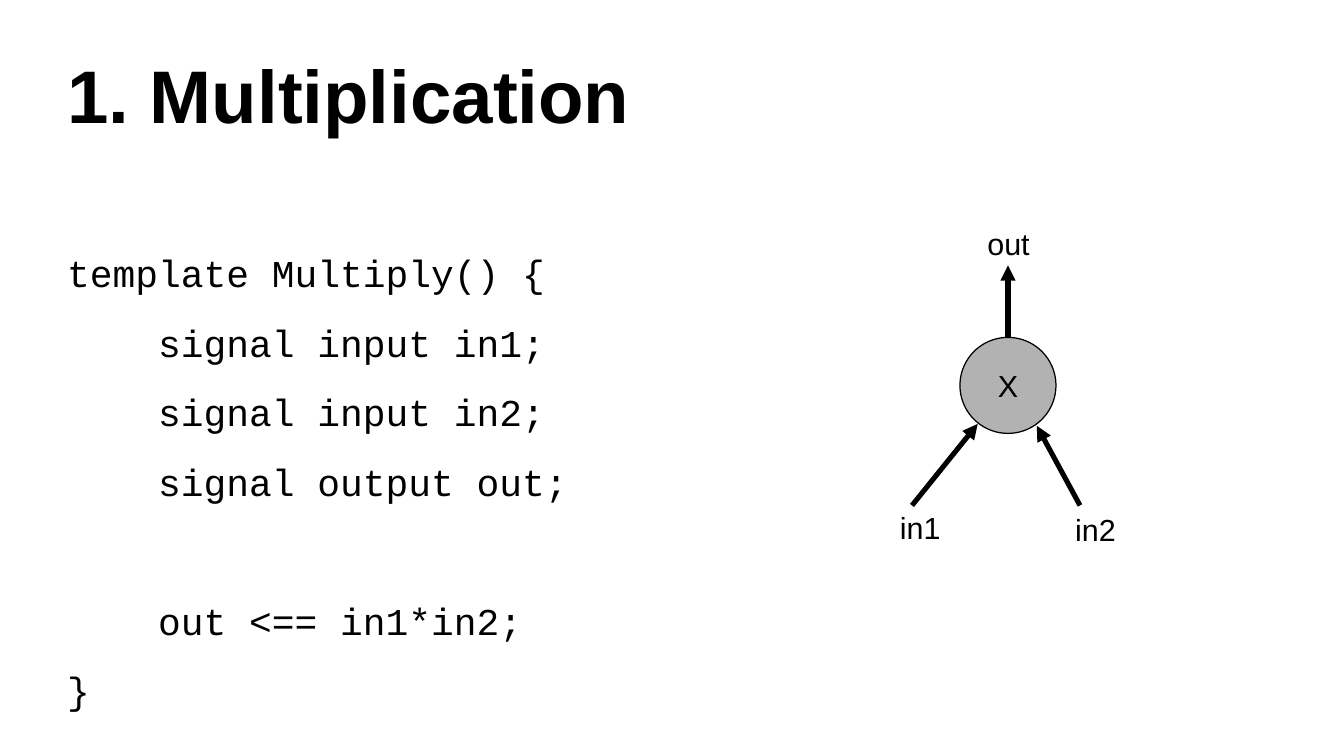
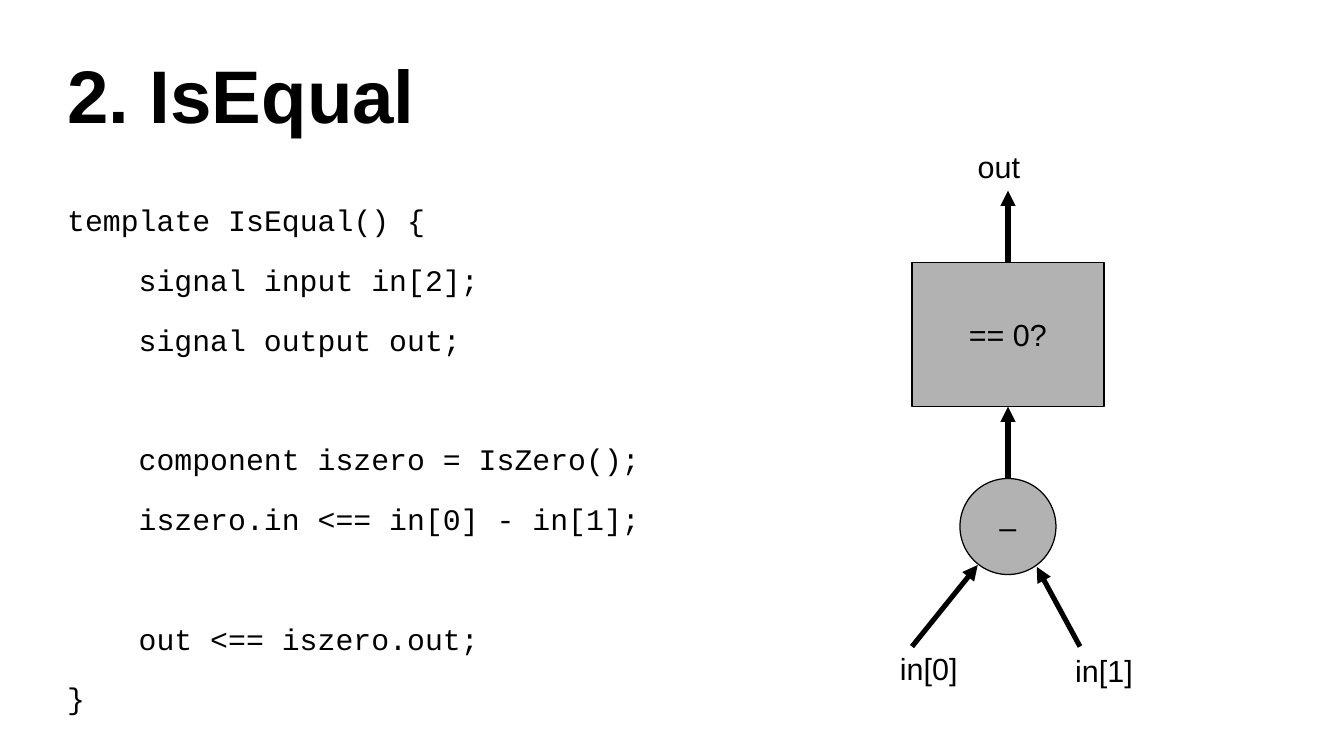
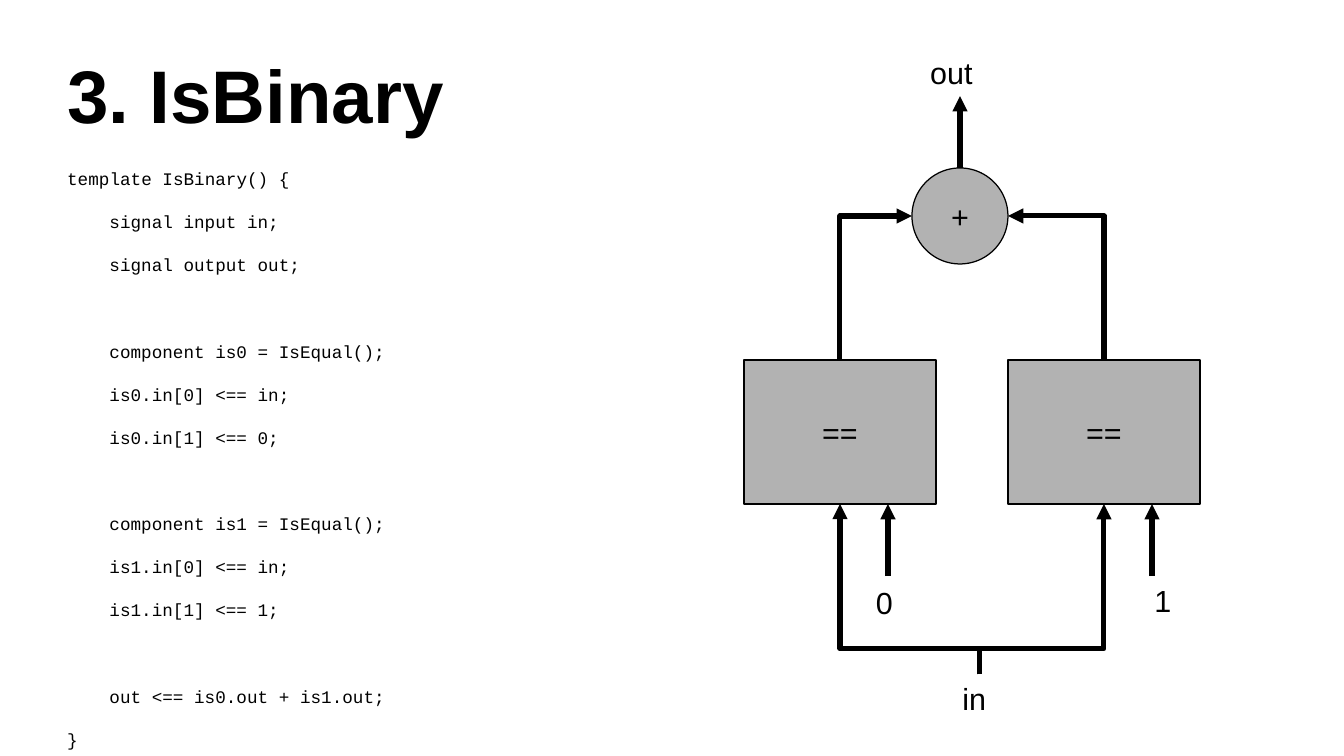
import dataclasses

import lxml.etree
import pptx
import pptx.dml.color
import pptx.enum.shapes
import pptx.enum.text
import pptx.oxml.ns
import pptx.util

Cm = pptx.util.Cm
Pt = pptx.util.Pt
RGB = pptx.dml.color.RGBColor
SHAPE = pptx.enum.shapes.MSO_SHAPE
CONNECTOR = pptx.enum.shapes.MSO_CONNECTOR
ALIGN = pptx.enum.text.PP_ALIGN
ANCHOR = pptx.enum.text.MSO_ANCHOR
qn = pptx.oxml.ns.qn


@dataclasses.dataclass(frozen=True)
class Theme:
    ink: RGB = RGB(0, 0, 0)
    node: RGB = RGB(0xB2, 0xB2, 0xB2)
    font: str = "Arial"
    code_font: str = "Courier New"
    title_size: float = 44
    label_size: float = 18
    arrow_width: float = 3
    line_height: float = 1.2


THEME = Theme()

# Diagram grid, in centimetres
CIRCLE = 2
BOX_WIDTH, BOX_HEIGHT = 4, 3
ARROW = 1.5
LABEL_HEIGHT = 0.97

# Content: code is a header, groups of indented lines, and a closing brace
MULTIPLY = {
    "title": "1. Multiplication",
    "at": (1.4, 5.2, 11.6), "size": 22.4, "gap": 14.2,
    "header": "template Multiply() {",
    "groups": [
        ["signal input in1;", "signal input in2;", "signal output out;"],
        ["out <== in1*in2;"],
    ],
}
IS_EQUAL = {
    "title": "2. IsEqual",
    "at": (1.4, 4.2, 15.1), "size": 17.6, "gap": 14.2,
    "header": "template IsEqual() {",
    "groups": [
        ["signal input in[2];", "signal output out;"],
        ["component iszero = IsZero();", "iszero.in <== in[0] - in[1];"],
        ["out <== iszero.out;"],
    ],
}
IS_BINARY = {
    "title": "3. IsBinary",
    "at": (1.4, 3.5, 11.1), "size": 10.4, "gap": 13,
    "header": "template IsBinary() {",
    "groups": [
        ["signal input in;", "signal output out;"],
        ["component is0 = IsEqual();", "is0.in[0] <== in;", "is0.in[1] <== 0;"],
        ["component is1 = IsEqual();", "is1.in[0] <== in;", "is1.in[1] <== 1;"],
        ["out <== is0.out + is1.out;"],
    ],
}

# Sides of a shape: connection order, then position as a share of its size
SIDES = {"top": (0, 0.5, 0), "left": (1, 0, 0.5),
         "bottom": (2, 0.5, 1), "right": (3, 1, 0.5)}


# Text
def format_runs(paragraph, font, size, bold=False):
    for run in paragraph.runs:
        run.font.name = font
        run.font.size = Pt(size)
        run.font.bold = bold
        run.font.color.rgb = THEME.ink


def clear_margins(text_frame):
    text_frame.margin_left = text_frame.margin_right = 0
    text_frame.margin_top = text_frame.margin_bottom = 0


def add_title(slide, text):
    title = slide.shapes.title
    title.left, title.top = Cm(1.4), Cm(0.63)
    title.width, title.height = Cm(25.2), Cm(2.63)
    frame = title.text_frame
    frame.text = text
    frame.vertical_anchor = ANCHOR.MIDDLE
    clear_margins(frame)
    frame.paragraphs[0].alignment = ALIGN.LEFT
    format_runs(frame.paragraphs[0], THEME.font, THEME.title_size, bold=True)


def add_code(slide, content):
    size, gap = content["size"], content["gap"]
    pitch = size * THEME.line_height
    skip = gap + pitch + gap
    lines = [(content["header"], False, 0)]
    for number, group in enumerate(content["groups"]):
        for position, text in enumerate(group):
            new_group = number > 0 and position == 0
            lines.append((text, True, skip if new_group else gap))
    lines.append(("}", False, gap))

    left, top, width = content["at"]
    height = Pt(sum(pitch + before for _, _, before in lines))
    frame = slide.shapes.add_textbox(Cm(left), Cm(top), Cm(width), height).text_frame
    frame.word_wrap = True
    clear_margins(frame)
    frame.text = "\n".join(text for text, _, _ in lines)
    for paragraph, (_, indented, before) in zip(frame.paragraphs, lines):
        paragraph.line_spacing = Pt(pitch)
        paragraph.space_before = Pt(before)
        if indented:  # four characters, each 0.6 of the type size
            paragraph._p.get_or_add_pPr().set("marL", str(Pt(4 * 0.6 * size)))
        format_runs(paragraph, THEME.code_font, size)


def add_label(slide, text, left, top, width):
    label = slide.shapes.add_textbox(Cm(left), Cm(top), Cm(width), Cm(LABEL_HEIGHT))
    label.text_frame.word_wrap = False
    label.text_frame.text = text
    format_runs(label.text_frame.paragraphs[0], THEME.font, THEME.label_size)
    return label


# Nodes
def add_node(slide, kind, text, left, top, width, height):
    node = slide.shapes.add_shape(kind, Cm(left), Cm(top), Cm(width), Cm(height))
    node.shadow.inherit = False
    node.fill.solid()
    node.fill.fore_color.rgb = THEME.node
    node.line.color.rgb = THEME.ink
    node.line.width = Pt(0)
    node.text_frame.text = text
    node.text_frame.vertical_anchor = ANCHOR.MIDDLE
    paragraph = node.text_frame.paragraphs[0]
    paragraph.alignment = ALIGN.CENTER
    format_runs(paragraph, THEME.font, THEME.label_size)
    return node


def add_circle(slide, text, left, top):
    return add_node(slide, SHAPE.OVAL, text, left, top, CIRCLE, CIRCLE)


def add_box(slide, text, left, top):
    return add_node(slide, SHAPE.RECTANGLE, text, left, top, BOX_WIDTH, BOX_HEIGHT)


# Arrows
def style_arrow(connector):
    connector.line.color.rgb = THEME.ink
    connector.line.width = Pt(THEME.arrow_width)
    properties = connector._element.spPr
    line = properties.find(qn("a:ln"))
    lxml.etree.SubElement(line, qn("a:tailEnd"), type="triangle")
    lxml.etree.SubElement(properties, qn("a:effectLst"))


def add_arrow(slide, start, end):
    points = [Cm(value) for value in (*start, *end)]
    style_arrow(slide.shapes.add_connector(CONNECTOR.STRAIGHT, *points))


def add_up_arrow(slide, x, bottom):
    add_arrow(slide, (x, bottom), (x, bottom - ARROW))


def side_point(shape, side):
    _, across, down = SIDES[side]
    return (round(shape.left + across * shape.width),
            round(shape.top + down * shape.height))


def glue(connector, tag, shape, side):
    is_circle = (shape.shape_type == pptx.enum.shapes.MSO_SHAPE_TYPE.AUTO_SHAPE
                 and shape.auto_shape_type == SHAPE.OVAL)
    index = SIDES[side][0] * (2 if is_circle else 1)
    holder = connector._element.find(".//" + qn("p:cNvCxnSpPr"))
    lxml.etree.SubElement(holder, qn(tag), id=str(shape.shape_id), idx=str(index))


def add_elbow(slide, start, end, end_side, bend=None):
    """Leave the top of start upwards; bend is the share of the rise to the turn."""
    x1, y1 = side_point(start, "top")
    x2, y2 = side_point(end, end_side)
    run, rise = abs(x2 - x1), y1 - y2
    left = (x1 + x2 - rise) // 2
    top = (y1 + y2 - run) // 2
    connector = slide.shapes.add_connector(
        CONNECTOR.ELBOW, left, top, left + rise, top + run)
    glue(connector, "a:stCxn", start, "top")
    glue(connector, "a:endCxn", end, end_side)
    properties = connector._element.spPr
    transform = properties.find(qn("a:xfrm"))
    transform.set("rot", str(270 * 60000))
    if x2 < x1:
        transform.set("flipV", "1")
    geometry = properties.find(qn("a:prstGeom"))
    if bend is None:
        geometry.set("prst", "bentConnector2")
    else:
        adjustments = geometry.find(qn("a:avLst"))
        lxml.etree.SubElement(adjustments, qn("a:gd"), name="adj1",
                              fmla=f"val {round(bend * 100000)}")
    style_arrow(connector)


# Diagrams
def add_operator(slide, symbol, inputs, left, top, label_width):
    """Circle with two labelled inputs below and an arrow out of its top."""
    add_circle(slide, symbol, left, top)
    first, second = inputs
    add_label(slide, first, left - 1.5, top + 3.45, label_width)
    add_label(slide, second, left + 2.15, top + 3.5, label_width)
    add_arrow(slide, (left - 1, top + 3.5), (left + 0.37, top + 1.8))
    add_arrow(slide, (left + 2.5, top + 3.5), (left + 1.6, top + 1.84))
    add_up_arrow(slide, left + CIRCLE / 2, top)


def draw_multiply(slide):
    add_operator(slide, "X", ("in1", "in2"), 20, 7.03, 1.35)
    add_label(slide, "out", 20.32, 4.57, 1.4)


def draw_is_equal(slide):
    circle_top = 9.97
    box_top = circle_top - ARROW - BOX_HEIGHT
    add_operator(slide, "–", ("in[0]", "in[1]"), 20, circle_top, 1.7)
    add_box(slide, "== 0?", 19, box_top)
    add_up_arrow(slide, 21, box_top)
    add_label(slide, "out", 20.12, 2.97, 1.4)


def draw_is_binary(slide):
    box_top = 7.5
    box_bottom = box_top + BOX_HEIGHT
    circle = add_circle(slide, "+", 19, 3.5)
    add_up_arrow(slide, 20, 3.5)
    add_label(slide, "out", 19.13, 1, 1.4)
    source = add_label(slide, "in", 19.8, 14.05, 1.2)
    branches = [(15.5, "left", "0", 18, 12.05), (21, "right", "1", 23.8, 12)]
    for left, side, constant, label_left, label_top in branches:
        box = add_box(slide, "==", left, box_top)
        add_elbow(slide, box, circle, side)
        add_elbow(slide, source, box, "bottom", bend=0.15)
        add_up_arrow(slide, left + 3, box_bottom + ARROW)
        add_label(slide, constant, label_left, label_top, 0.86)


def main():
    presentation = pptx.Presentation()
    presentation.slide_width, presentation.slide_height = Cm(28), Cm(15.75)
    title_only = presentation.slide_layouts[5]
    for content, draw in [(MULTIPLY, draw_multiply), (IS_EQUAL, draw_is_equal),
                          (IS_BINARY, draw_is_binary)]:
        slide = presentation.slides.add_slide(title_only)
        add_title(slide, content["title"])
        add_code(slide, content)
        draw(slide)
    presentation.save("out.pptx")


if __name__ == "__main__":
    main()
